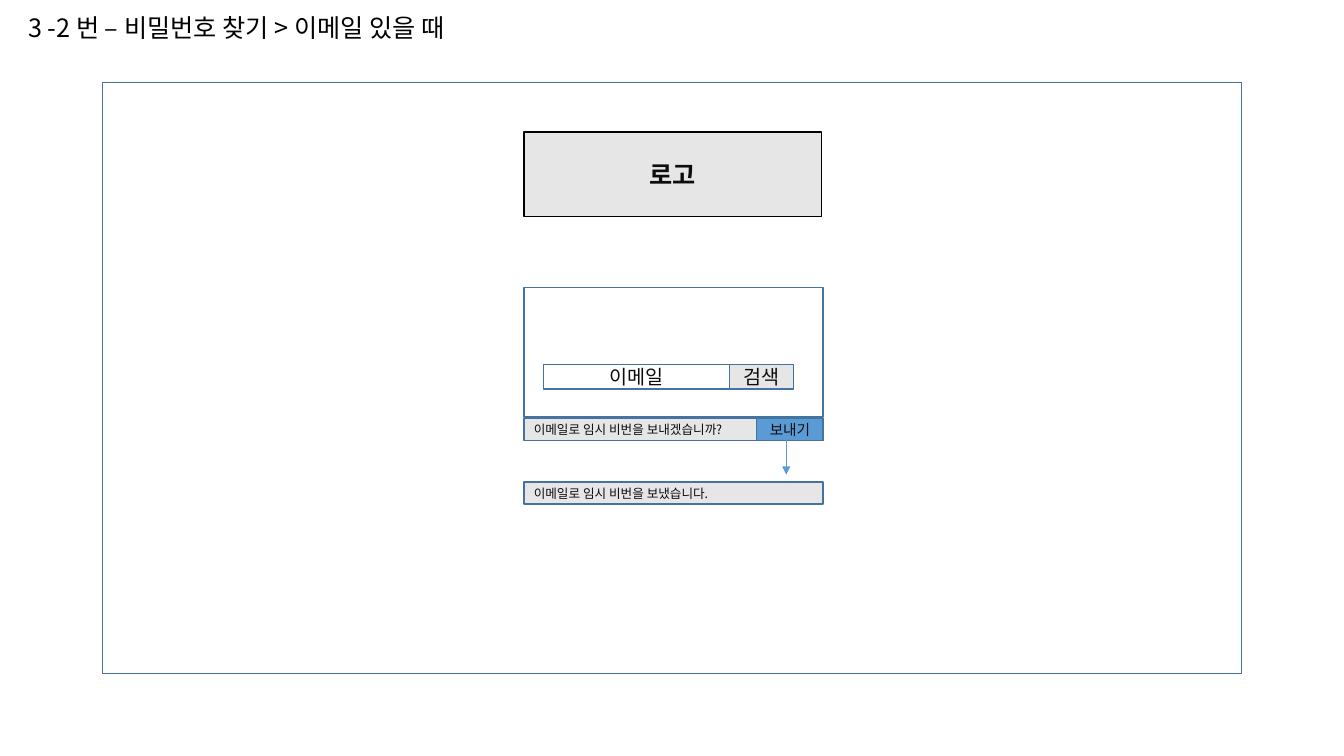
from lxml import etree
from pptx import Presentation
from pptx.dml.color import RGBColor
from pptx.enum.shapes import MSO_CONNECTOR, MSO_SHAPE
from pptx.enum.text import MSO_ANCHOR, PP_ALIGN
from pptx.oxml.ns import qn
from pptx.util import Pt

FONT = "Noto Sans CJK KR"
BLUE, GRAY, INK, BORDER = "5B9BD5", "E7E6E6", "0D0D0D", "43739E"


def color(value):
    return RGBColor.from_string(value)


def write(shape, text, size, ink=INK, align=PP_ALIGN.CENTER, bold=False):
    frame = shape.text_frame
    frame.word_wrap = True
    frame.vertical_anchor = MSO_ANCHOR.MIDDLE
    frame.margin_top = frame.margin_bottom = 0
    paragraph = frame.paragraphs[0]
    paragraph.text = text
    paragraph.alignment = align
    font = paragraph.font
    font.name, font.size, font.bold = FONT, Pt(size), bold
    font.color.rgb = color(ink)
    # Korean letters take the East Asian typeface
    defaults = paragraph._p.pPr.find(qn("a:defRPr"))
    etree.SubElement(defaults, qn("a:ea"), typeface=FONT)
    return paragraph


presentation = Presentation()
presentation.slide_width, presentation.slide_height = Pt(960), Pt(540)
slide = presentation.slides.add_slide(presentation.slide_layouts[6])

# Title
title = slide.shapes.add_textbox(Pt(13), Pt(10), Pt(828), Pt(21.6))
heading = write(title, "3 -2 번 – 비밀번호 찾기 > 이메일 있을 때", 18, "000000", PP_ALIGN.LEFT)
heading.line_spacing = 0.9

# Screen frame, logo, search panel and messages
column, width = 374.2, 213.8
field_left, field_width, field_top, field_height = 388.1, 133.2, 260.6, 17.3
ask_top, bar_height, send_width = 298.8, 15.8, 47.4
LEFT, CENTER = PP_ALIGN.LEFT, PP_ALIGN.CENTER

boxes = [  # left, top, width, height, fill, border, text, size, alignment
    (73.4, 59, 813.6, 422, None, BORDER, "", 0, CENTER),
    (column, 94.4, 212.6, 60.4, GRAY, "000000", "로고", 18, CENTER),
    (column, 205.2, width, 92.8, None, BORDER, "", 0, CENTER),
    (field_left, field_top, field_width, field_height, None, BORDER, "이메일", 14, CENTER),
    (field_left + field_width, field_top, 45.4, field_height, GRAY, BORDER, "검색", 14, CENTER),
    (column, ask_top, width, bar_height, GRAY, BORDER,
     "이메일로 임시 비번을 보내겠습니까?", 9, LEFT),
    (column + width - send_width, ask_top, send_width, bar_height, BLUE, BORDER,
     "보내기", 10.5, CENTER),
    (column, 344.2, width, bar_height, GRAY, BORDER,
     "이메일로 임시 비번을 보냈습니다.", 9, LEFT),
]
for left, top, box_width, height, fill, border, text, size, align in boxes:
    shape = slide.shapes.add_shape(
        MSO_SHAPE.RECTANGLE, Pt(left), Pt(top), Pt(box_width), Pt(height))
    shape.shadow.inherit = False
    if fill:
        shape.fill.solid()
        shape.fill.fore_color.rgb = color(fill)
    else:
        shape.fill.background()
    shape.line.color.rgb = color(border)
    shape.line.width = Pt(1)
    if text:
        write(shape, text, size, align=align, bold=text == "로고")

# Arrow from the send button to the confirmation
arrow = slide.shapes.add_connector(
    MSO_CONNECTOR.STRAIGHT, Pt(561.6), Pt(ask_top + bar_height), Pt(561.6), Pt(339.1))
arrow.line.color.rgb = color(BLUE)
arrow.line.width = Pt(0.5)
etree.SubElement(arrow.line._get_or_add_ln(), qn("a:tailEnd"), type="triangle")
etree.SubElement(arrow._element.spPr, qn("a:effectLst"))

presentation.save("out.pptx")
